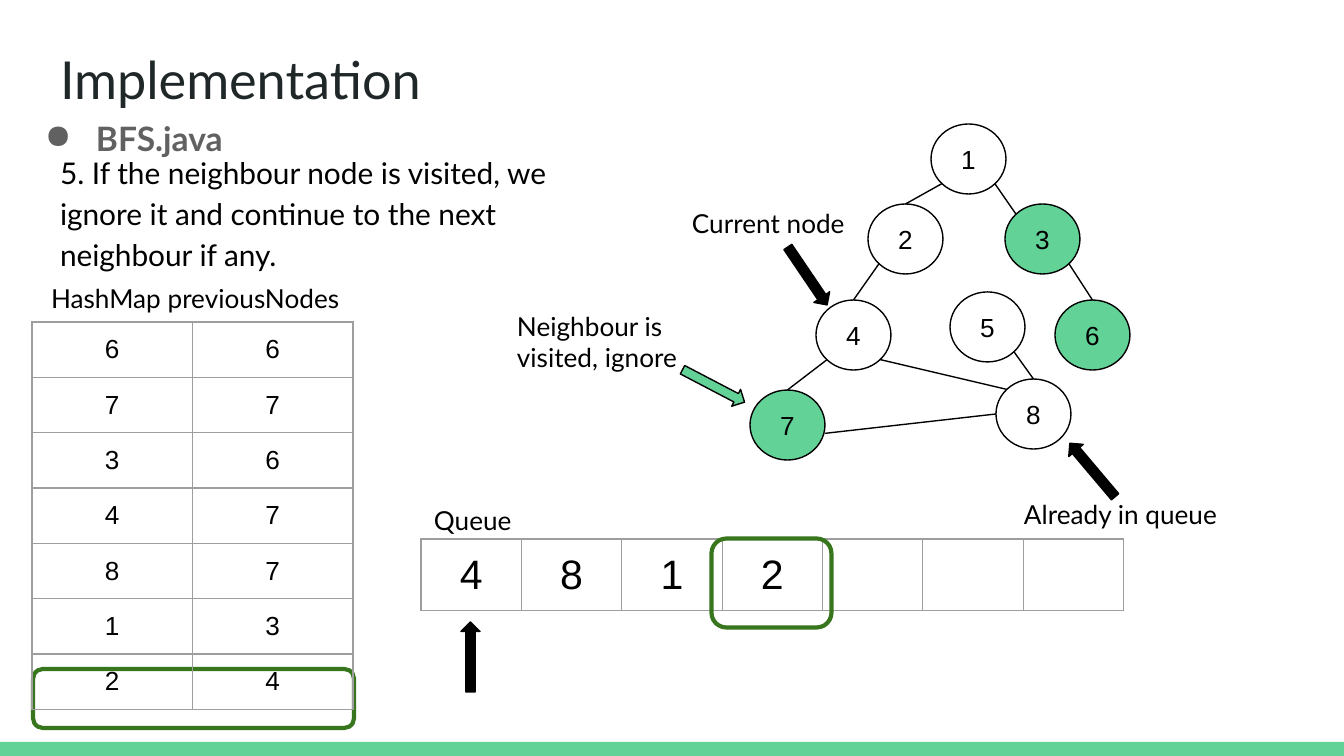
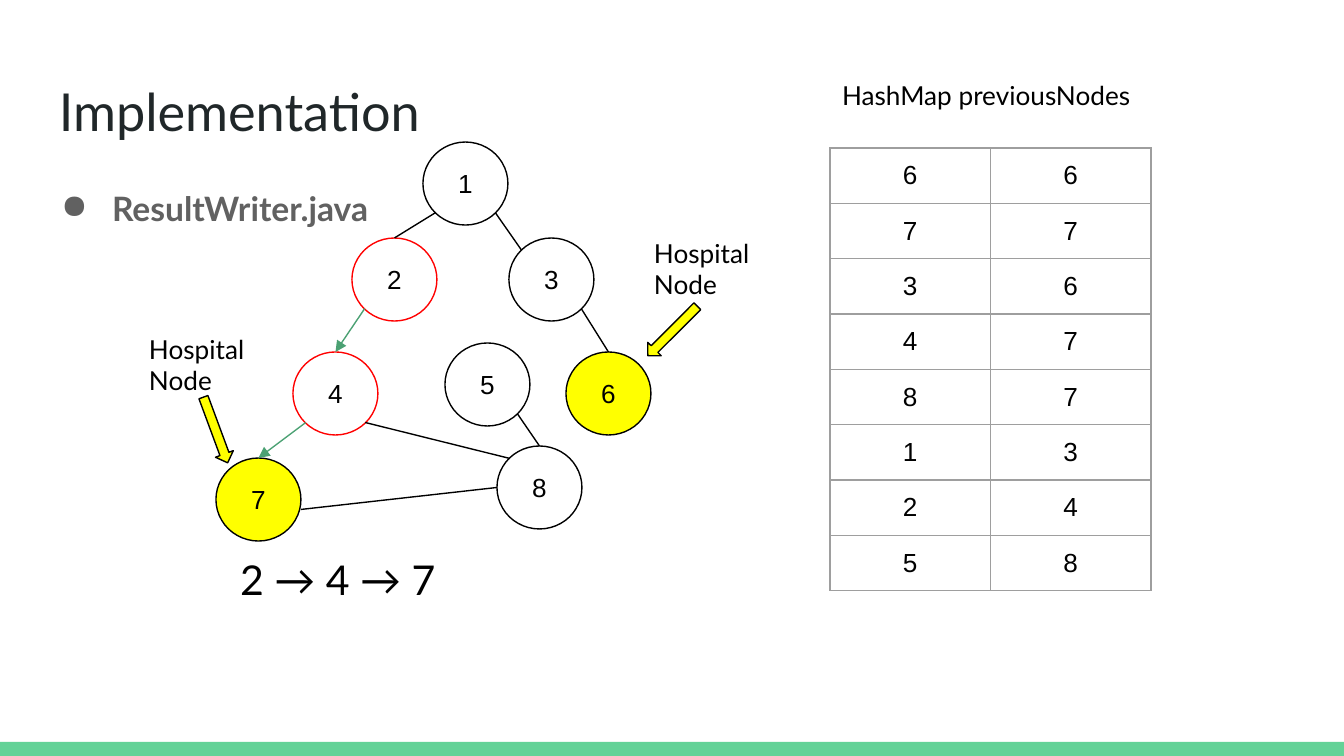
"""Builds two slides on a breadth-first search: the graph, its queue and its hash map."""
from lxml import etree
from pptx import Presentation
from pptx.dml.color import RGBColor
from pptx.enum.shapes import MSO_CONNECTOR, MSO_SHAPE
from pptx.enum.text import MSO_ANCHOR, MSO_AUTO_SIZE, PP_ALIGN
from pptx.oxml.ns import qn
from pptx.util import Emu, Pt

EMU_PER_PX = 914400 / 134.4
SLIDE_WIDTH, SLIDE_HEIGHT = 1344, 756
INSET = 13
THIN, THICK = 0.75, 2.25

LEFT, CENTER = PP_ALIGN.LEFT, PP_ALIGN.CENTER
TOP, MIDDLE = MSO_ANCHOR.TOP, MSO_ANCHOR.MIDDLE
NO_AUTOFIT = MSO_AUTO_SIZE.NONE
STRAIGHT = MSO_CONNECTOR.STRAIGHT
RECTANGLE, ELLIPSE = MSO_SHAPE.RECTANGLE, MSO_SHAPE.OVAL
UP_ARROW, ROUNDED = MSO_SHAPE.UP_ARROW, MSO_SHAPE.ROUNDED_RECTANGLE

COLORS = {
    "black": "000000",
    "title": "202729",
    "file": "616161",
    "green": "63D297",
    "route": "4BA173",
    "highlight": "38761D",
    "grid": "9E9E9E",
    "red": "FF0000",
    "yellow": "FFFF00",
}

SITES = {
    "top": (0.5, 0),
    "left": (0, 0.5),
    "top left": (0.15, 0.15),
    "bottom left": (0.15, 0.85),
    "bottom right": (0.85, 0.85),
    "lower right": (1, 0.62),
}
EDGES = [
    (1, "bottom left", 2, "top"),
    (1, "bottom right", 3, "top left"),
    (2, "bottom left", 4, "top"),
    (3, "bottom right", 6, "top"),
    (4, "bottom left", 7, "top"),
    (4, "bottom right", 8, "top left"),
    (5, "bottom right", 8, "top"),
    (8, "left", 7, "lower right"),
]
PREVIOUS_NODES = [(6, 6), (7, 7), (3, 6), (4, 7), (8, 7), (1, 3), (2, 4), (5, 8)]


def px(length):
    """Turn pixels into EMU."""
    return Emu(round(length * EMU_PER_PX))


def rgb(name):
    """Look up a named colour."""
    return RGBColor.from_string(COLORS[name])


def set_values(target, values):
    """Set each named attribute of the target."""
    for attribute, value in values.items():
        setattr(target, attribute, value)


def write_text(frame, text, size=14, font="Lato", color="black", bold=False,
               align=LEFT, anchor=TOP, **paragraph_values):
    """Fill a text frame with one format throughout."""
    frame.text = text
    set_values(frame, {"word_wrap": True, "auto_size": NO_AUTOFIT, "vertical_anchor": anchor})
    set_values(frame, {f"margin_{side}": px(INSET) for side in ("left", "right", "top", "bottom")})
    for paragraph in frame.paragraphs:
        set_values(paragraph, {"alignment": align, **paragraph_values})
        for run in paragraph.runs:
            set_values(run.font, {"size": Pt(size), "name": font, "bold": bold})
            run.font.color.rgb = rgb(color)


def add_label(slide, box, text, **style):
    """Add a text box and return its frame."""
    frame = slide.shapes.add_textbox(*map(px, box)).text_frame
    write_text(frame, text, **style)
    return frame


def add_preset(slide, kind, box, fill=None, line=None, weight=THIN, rotation=0):
    """Add a preset shape with an optional fill and outline."""
    shape = slide.shapes.add_shape(kind, *map(px, box))
    shape.shadow.inherit = False
    shape.rotation = rotation
    if fill:
        shape.fill.solid()
        shape.fill.fore_color.rgb = rgb(fill)
    else:
        shape.fill.background()
    if line:
        shape.line.color.rgb = rgb(line)
        shape.line.width = Pt(weight)
    else:
        shape.line.fill.background()
    return shape


def add_pointer(slide, left, top, rotation=0, fill="black"):
    """Add a block arrow turned towards its target."""
    add_preset(slide, UP_ARROW, (left, top, 19, 70), fill, "black", rotation=rotation)


def add_highlight(slide, box):
    """Add a rounded frame lying on its side."""
    add_preset(slide, ROUNDED, box, line="highlight", weight=THICK, rotation=270)


def add_edge(slide, start, end, color="black", arrow=False):
    """Draw a straight edge between two points."""
    edge = slide.shapes.add_connector(STRAIGHT, *map(px, start + end))
    edge.line.color.rgb = rgb(color)
    edge.line.width = Pt(THIN)
    if arrow:
        etree.SubElement(edge.line._get_or_add_ln(), qn("a:tailEnd"), type="triangle")
    etree.SubElement(edge._element.spPr, qn("a:effectLst"))


def add_graph(slide, nodes, size, fills, outlines=None, route=()):
    """Draw the numbered nodes and the edges that join them."""
    outlines = outlines or {}
    for number, corner in nodes.items():
        node = add_preset(slide, ELLIPSE, corner + size, fills.get(number),
                          outlines.get(number, "black"))
        write_text(node.text_frame, str(number), font="Arial", align=CENTER, anchor=MIDDLE)

    def site(number, name):
        """Locate a connection site on a node."""
        return tuple(corner + length * share for corner, length, share
                     in zip(nodes[number], size, SITES[name]))

    for first, first_site, second, second_site in EDGES:
        on_route = (first, second) in route
        add_edge(slide, site(first, first_site), site(second, second_site),
                 "route" if on_route else "black", on_route)


def add_border(cell):
    """Draw thin grid lines on all sides of a cell."""
    properties = cell._tc.get_or_add_tcPr()
    for position, side in enumerate(("lnL", "lnR", "lnT", "lnB")):
        line = etree.Element(qn(f"a:{side}"), w=str(Pt(THIN)))
        fill = etree.SubElement(line, qn("a:solidFill"))
        etree.SubElement(fill, qn("a:srgbClr"), val=COLORS["grid"])
        properties.insert(position, line)


def add_grid(slide, rows, left, top, width, row_height, size=14):
    """Add a plain bordered table of centred values."""
    box = (left, top, width, row_height * len(rows))
    table = slide.shapes.add_table(len(rows), len(rows[0]), *map(px, box)).table
    set_values(table, {"first_row": False, "horz_banding": False})
    for row, values in enumerate(rows):
        for column, value in enumerate(values):
            cell = table.cell(row, column)
            set_values(cell, {f"margin_{side}": px(INSET)
                              for side in ("left", "right", "top", "bottom")})
            cell.fill.background()
            add_border(cell)
            paragraph = cell.text_frame.paragraphs[0]
            paragraph.alignment = CENTER
            if value != "":
                run = paragraph.add_run()
                run.text = str(value)
                set_values(run.font, {"size": Pt(size), "name": "Arial"})
                run.font.color.rgb = rgb("black")


def add_hash_map(slide, rows, left, top):
    """Add the table of previous nodes."""
    add_grid(slide, rows, left, top, 321, 50)


def add_file_bullet(slide, box, text):
    """Add the bulleted name of a source file."""
    frame = add_label(slide, box, text, size=18, color="file", bold=True, line_spacing=1.15)
    properties = frame.paragraphs[0]._p.get_or_add_pPr()
    set_values_xml = {"marL": px(67), "indent": px(-51)}
    for attribute, value in set_values_xml.items():
        properties.set(attribute, str(int(value)))
    bullet_color = etree.SubElement(properties, qn("a:buClr"))
    etree.SubElement(bullet_color, qn("a:srgbClr"), val=COLORS["file"])
    etree.SubElement(properties, qn("a:buChar"), char="●")


def add_base(deck, title_box, file_box, file_name):
    """Start a slide with the band, the title and the file name."""
    slide = deck.slides.add_slide(deck.slide_layouts[5])
    add_preset(slide, RECTANGLE, (0, 742, SLIDE_WIDTH, 14), "green")
    title = slide.shapes.title
    set_values(title, dict(zip(("left", "top", "width", "height"), map(px, title_box))))
    write_text(title.text_frame, "Implementation", size=28, color="title")
    add_file_bullet(slide, file_box, file_name)
    return slide


def build_search_slide(deck):
    """Show a visited neighbour being ignored."""
    slide = add_base(deck, (47, 34, 439, 85), (16, 99, 649, 67), "BFS.java")
    add_label(slide, (38, 269, 411, 67), "HashMap previousNodes")
    add_grid(slide, [(4, 8, 1, 2, "", "", "")], 421, 539, 703, 59, size=22)
    add_label(slide, (421, 491, 329, 41), "Queue")
    add_label(slide, (47, 136, 540, 134),
              "5. If the neighbour node is visited, we ignore it and continue "
              "to the next neighbour if any.",
              size=16, line_spacing=1.15, space_after=Pt(16))
    nodes = {1: (931, 124), 2: (868, 204), 3: (1005, 204), 4: (816, 300),
             5: (950, 292), 6: (1055, 300), 7: (750, 390), 8: (996, 379)}
    add_graph(slide, nodes, (75, 70), dict.fromkeys((3, 6, 7), "green"))
    add_pointer(slide, 461, 622)
    add_pointer(slide, 798, 241, 145.9)
    add_pointer(slide, 704, 351, 117.6, "green")
    add_pointer(slide, 1083, 435, 319.8)
    add_label(slide, (679, 194, 187, 31), "Current node")
    add_label(slide, (504, 297, 222, 59), "Neighbour is visited, ignore")
    add_label(slide, (1011, 485, 274, 31), "Already in queue")
    add_highlight(slide, (164, 538, 59, 321))
    add_highlight(slide, (727, 523, 89, 120))
    add_hash_map(slide, PREVIOUS_NODES[:-1], 32, 322)


def build_result_slide(deck):
    """Show the route from node 2 to its nearest hospital."""
    slide = add_base(deck, (46, 66, 402, 85), (32, 169, 742, 59), "ResultWriter.java")
    add_label(slide, (829, 66, 411, 67), "HashMap previousNodes")
    add_label(slide, (227, 542, 511, 67), "2 → 4 → 7", size=22)
    add_hash_map(slide, PREVIOUS_NODES, 830, 148)
    nodes = {1: (423, 142), 2: (352, 238), 3: (509, 238), 4: (293, 352),
             5: (445, 343), 6: (566, 352), 7: (216, 458), 8: (497, 446)}
    add_graph(slide, nodes, (85, 83), dict.fromkeys((6, 7), "yellow"),
              dict.fromkeys((2, 4), "red"), route=[(2, 4), (4, 7)])
    add_pointer(slide, 206, 395, 159.7, "yellow")
    add_pointer(slide, 663, 296, 225, "yellow")
    for left, top in ((136, 320), (641, 224)):
        add_label(slide, (left, top, 125, 41), "Hospital\nNode")


def main():
    """Build and save the deck."""
    deck = Presentation()
    set_values(deck, {"slide_width": px(SLIDE_WIDTH), "slide_height": px(SLIDE_HEIGHT)})
    build_search_slide(deck)
    build_result_slide(deck)
    deck.save("out.pptx")


if __name__ == "__main__":
    main()
